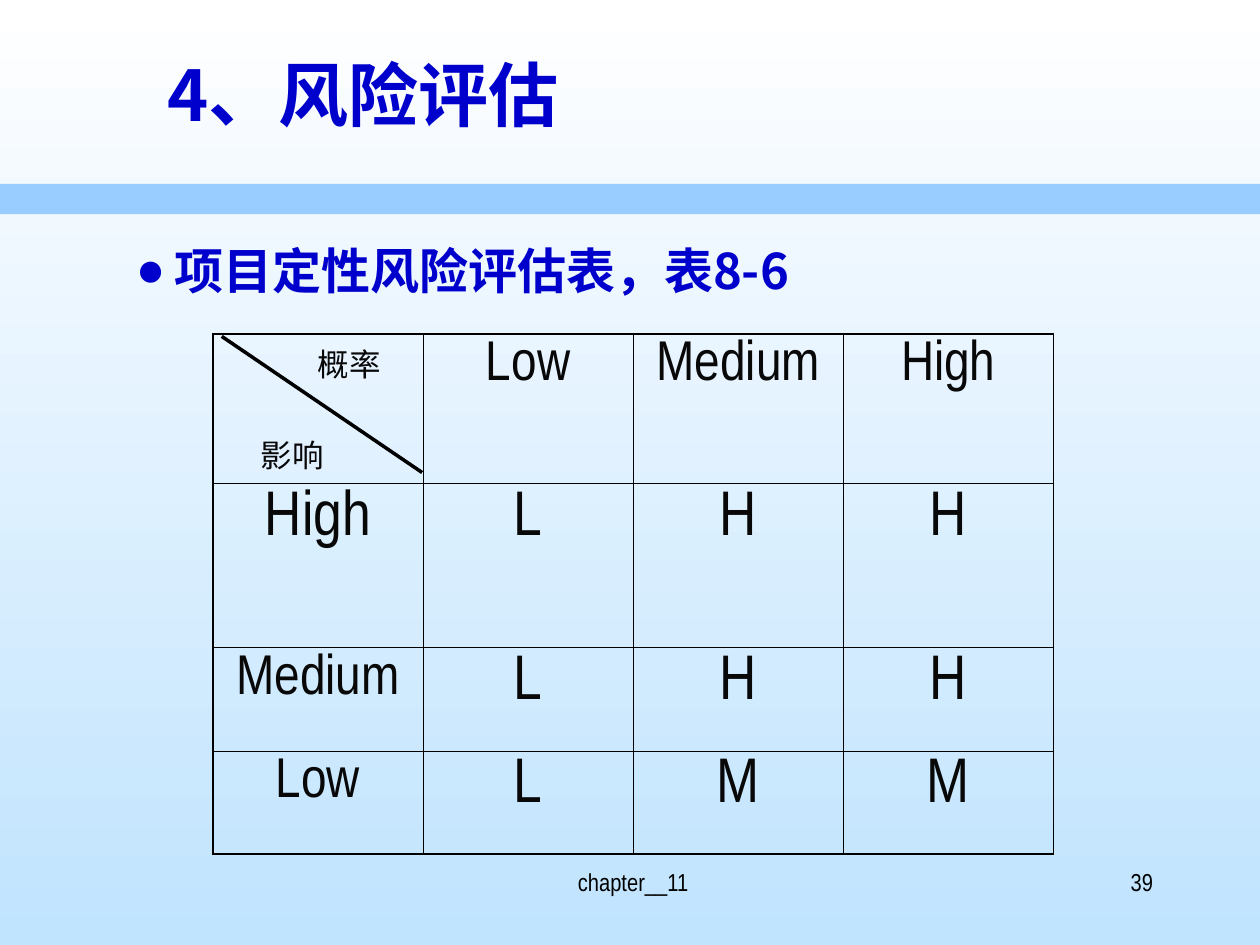
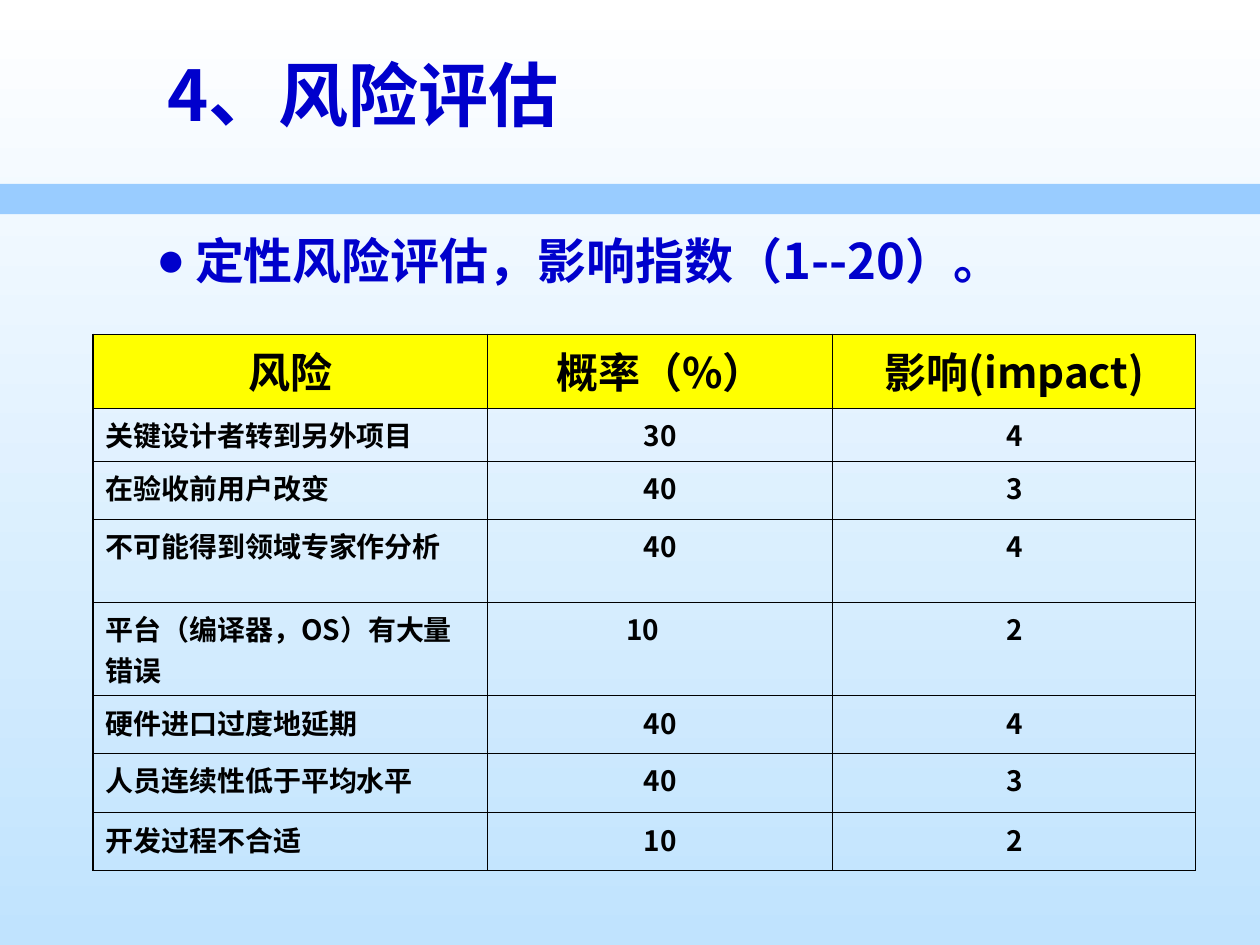
from lxml.etree import SubElement
from pptx import Presentation
from pptx.dml.color import RGBColor
from pptx.enum.shapes import MSO_CONNECTOR, MSO_SHAPE
from pptx.enum.text import MSO_ANCHOR, PP_ALIGN
from pptx.oxml.ns import qn
from pptx.util import Inches, Pt

COLOURS = {
    "sky_top": "FFFFFF", "sky_bottom": "C0E3FE", "band": "99CCFF",
    "heading": "0000CC", "header_fill": "FFFF00", "ink": "000000", "matrix_ink": "080808",
}
NARROW, HEITI = "Arial Narrow", "Noto Sans CJK SC"
THIN, THICK = 0.45, 1.08
LEFT, CENTRE, RIGHT = PP_ALIGN.LEFT, PP_ALIGN.CENTER, PP_ALIGN.RIGHT
GRID_COLUMNS, GRID_ROWS = 100, 75


def colour(name):
    return RGBColor.from_string(COLOURS[name])


class Deck:
    """Holds the shared style and the current slide; lengths are grid columns and rows."""

    def __init__(self):
        self.prs = Presentation()
        self.prs.slide_width, self.prs.slide_height = Inches(10), Inches(7.5)
        self.slide = None

    def x(self, columns):
        return round(self.prs.slide_width * columns / GRID_COLUMNS)

    def y(self, rows):
        return round(self.prs.slide_height * rows / GRID_ROWS)

    def box(self, left, top, width, height):
        return self.x(left), self.y(top), self.x(width), self.y(height)

    def new_slide(self, title):
        self.slide = self.prs.slides.add_slide(self.prs.slide_layouts[6])
        sky = self.slide.background.fill
        sky.gradient()
        sky.gradient_angle = 270
        for stop, name, position in zip(sky.gradient_stops, ("sky_top", "sky_bottom"), (0, 1)):
            stop.color.rgb = colour(name)
            stop.position = position
        self.band(0, 14.6, 100, 2.4)
        self.text(title, (12.3, 3.6, 85, 12.5), 40, HEITI, "heading", bold=True)

    def band(self, *place):
        band = self.slide.shapes.add_shape(MSO_SHAPE.RECTANGLE, *self.box(*place))
        band.shadow.inherit = False
        band.fill.solid()
        band.fill.fore_color.rgb = colour("band")
        band.line.fill.background()

    def style(self, paragraph, text, size, font, ink, bold=False, align=LEFT):
        paragraph.text = text
        paragraph.alignment = align
        for run in paragraph.runs:
            run.font.size, run.font.bold, run.font.name = Pt(size), bold, font
            run.font.color.rgb = colour(ink)
            SubElement(run._r.get_or_add_rPr(), qn("a:ea"), typeface=HEITI)

    def text(self, text, place, size, font, ink, bold=False, align=LEFT):
        frame = self.slide.shapes.add_textbox(*self.box(*place)).text_frame
        frame.word_wrap = True
        frame.vertical_anchor = MSO_ANCHOR.TOP
        paragraph = frame.paragraphs[0]
        self.style(paragraph, text, size, font, ink, bold, align)
        return paragraph

    def bullet(self, text, left, top, height):
        paragraph = self.text(text, (left, top, 85, height), 28, HEITI, "heading", bold=True)
        properties = paragraph._p.get_or_add_pPr()
        hanging = self.x(3.1)
        properties.set("marL", str(hanging))
        properties.set("indent", str(-hanging))
        bullet_colour = SubElement(properties, qn("a:buClr"))
        SubElement(bullet_colour, qn("a:srgbClr"), val=COLOURS["heading"])
        SubElement(properties, qn("a:buFont"), typeface="Arial")
        SubElement(properties, qn("a:buChar"), char="●")

    def footer(self, label, number):
        self.text(label, (34.4, 68.3, 31.7, 5), 14, NARROW, "ink", align=CENTRE)
        self.text(number, (71.7, 68.3, 20.8, 5), 14, NARROW, "ink", align=RIGHT)

    def line(self, x1, y1, x2, y2, width):
        line = self.slide.shapes.add_connector(
            MSO_CONNECTOR.STRAIGHT, self.x(x1), self.y(y1), self.x(x2), self.y(y2))
        line.line.color.rgb = colour("ink")
        line.line.width = Pt(width)
        SubElement(line._element.spPr, qn("a:effectLst"))

    def table(self, left, top, widths, heights, thick_sides):
        place = self.box(left, top, sum(widths), sum(heights))
        table = self.slide.shapes.add_table(len(heights), len(widths), *place).table
        table.first_row = table.horz_banding = False
        for column, width in zip(table.columns, widths):
            column.width = self.x(width)
        for row, height in zip(table.rows, heights):
            row.height = self.y(height)
        last_row, last_column = len(heights) - 1, len(widths) - 1
        for r in range(len(heights)):
            for c in range(len(widths)):
                outer = {"L": c == 0, "R": c == last_column, "T": r == 0, "B": r == last_row}
                cell = table.cell(r, c)
                for side, at_edge in outer.items():
                    self.border(cell, side, THICK if at_edge and side in thick_sides else THIN)
                cell.fill.background()
        return table

    def border(self, cell, side, width):
        edge = SubElement(cell._tc.get_or_add_tcPr(), qn(f"a:ln{side}"), w=str(int(Pt(width))))
        fill = SubElement(edge, qn("a:solidFill"))
        SubElement(fill, qn("a:srgbClr"), val=COLOURS["ink"])

    def cell(self, cell, text, *look, **options):
        self.style(cell.text_frame.paragraphs[0], text, *look, **options)


def build_rating_matrix(deck):
    deck.new_slide("4、风险评估")
    deck.footer("chapter__11", "39")
    deck.bullet("项目定性风险评估表，表8-6", 9.8, 18.6, 12.5)

    # Probability across, impact down
    matrix = deck.table(16.9, 26.5, [16.68] * 4, [11.9, 13, 8.2, 8.2], "LRTB")
    ratings = [
        ["", "Low", "Medium", "High"],
        ["High", "L", "H", "H"],
        ["Medium", "L", "H", "H"],
        ["Low", "L", "M", "M"],
    ]
    for r, row in enumerate(ratings):
        for c, rating in enumerate(row):
            size = 32 if r == 0 or (c == 0 and r > 1) else 36
            if rating:
                deck.cell(matrix.cell(r, c), rating, size, NARROW, "matrix_ink", align=CENTRE)

    # Corner cell, split by a diagonal
    corner = matrix.cell(0, 0).text_frame
    corner.text = "概率\n影响"
    for paragraph, label, indent in zip(corner.paragraphs, ("概率", "影响"), (7.3, 2.8)):
        deck.style(paragraph, label, 18, NARROW, "matrix_ink")
        paragraph._p.get_or_add_pPr().set("marL", str(deck.x(indent)))
    corner.paragraphs[1].space_before = Pt(26)
    deck.line(17.6, 26.7, 33.5, 37.5, 2)


def build_risk_list(deck):
    deck.new_slide("4、风险评估")
    deck.bullet("定性风险评估，影响指数（1--20）。", 11.4, 17.8, 7.8)

    # Risks with probability and impact
    risks = [
        ("风险", "概率（%）", "影响(impact)"),
        ("关键设计者转到另外项目", "30", "4"),
        ("在验收前用户改变", "40", "3"),
        ("不可能得到领域专家作分析", "40", "4"),
        ("平台（编译器，OS）有大量错误", "10", "2"),
        ("硬件进口过度地延期", "40", "4"),
        ("人员连续性低于平均水平", "40", "3"),
        ("开发过程不合适", "10", "2"),
    ]
    heights = [5.9, 4.2, 4.6, 6.6, 7.4, 4.6, 4.7, 4.6]
    table = deck.table(7.4, 26.5, [31.3, 27.4, 28.8], heights, "L")
    for r, risk in enumerate(risks):
        for c, entry in enumerate(risk):
            cell = table.cell(r, c)
            is_header = r == 0
            deck.cell(cell, entry, 24 if is_header else 16, HEITI, "ink", bold=True,
                      align=CENTRE if is_header or c else LEFT)
            if is_header:
                cell.fill.solid()
                cell.fill.fore_color.rgb = colour("header_fill")

    # The platform probability sits left of centre
    table.cell(4, 1).margin_right = deck.x(3.8)


def main():
    deck = Deck()
    build_rating_matrix(deck)
    build_risk_list(deck)
    deck.prs.save("out.pptx")


if __name__ == "__main__":
    main()
